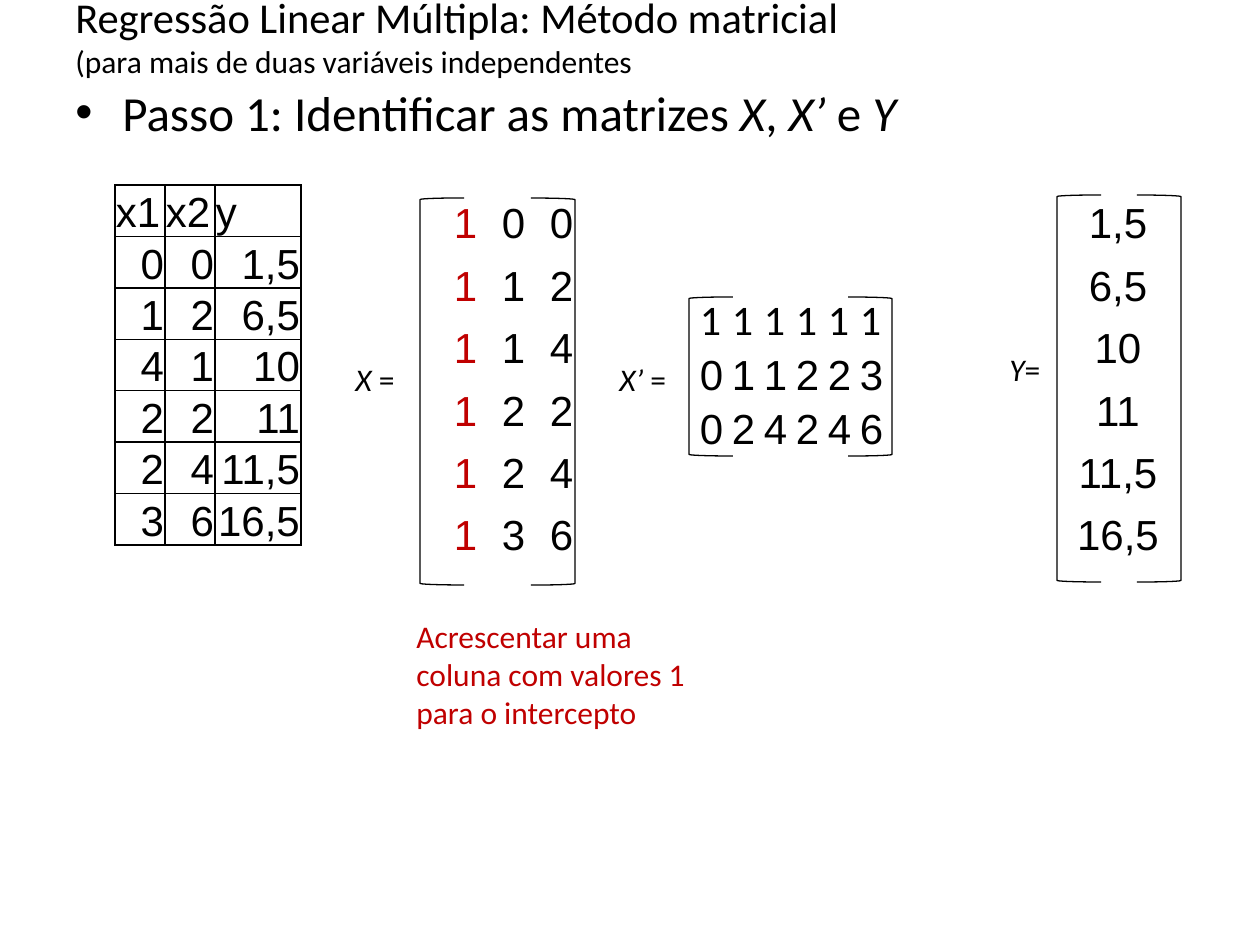
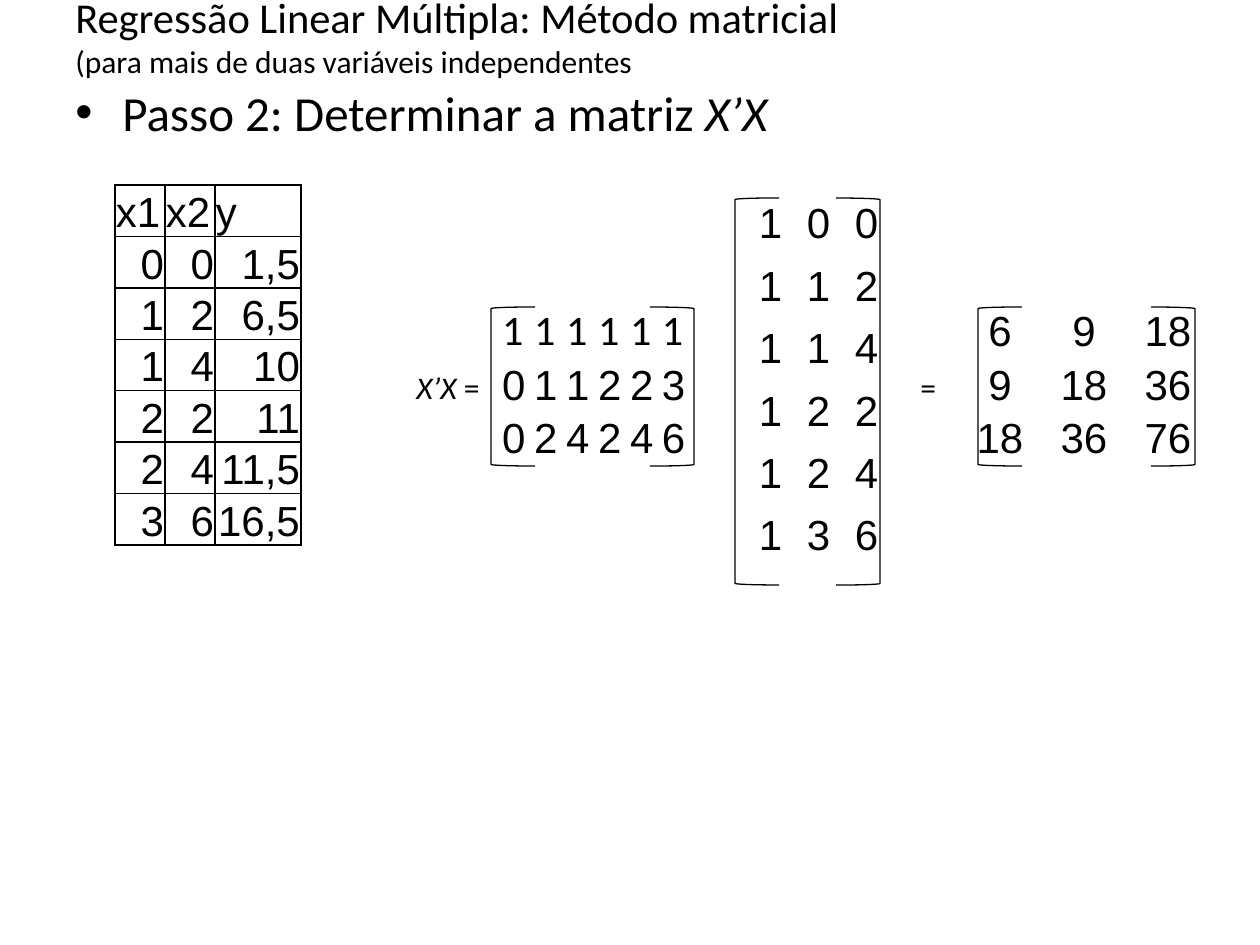
from lxml import etree
from pptx import Presentation
from pptx.dml.color import RGBColor
from pptx.enum.shapes import MSO_SHAPE as Shape
from pptx.enum.text import MSO_ANCHOR as Anchor, PP_ALIGN as Align
from pptx.oxml.ns import qn
from pptx.util import Pt

SCALE = 914400 / 126  # EMU per px
BLACK, RED = "000000", "C00000"
HEAD, DIGITS = "Calibri", "Arial"
DIGIT_SIZE = 24
TIGHT, ROOMY = (1, 1, 1, 0), (13, 6, 13, 6)  # cell margins: left, top, right, bottom
BRACKET_WIDTH = 44

# Matrices of the worked example
INTERCEPT_X = ["1 0 0", "1 1 2", "1 1 4", "1 2 2", "1 2 4", "1 3 6"]
TRANSPOSED_X = ["1 1 1 1 1 1", "0 1 1 2 2 3", "0 2 4 2 4 6"]
PRODUCT = ["6 9 18", "9 18 36", "18 36 76"]
RESPONSE = ["1,5", "6,5", "10", "11", "11,5", "16,5"]


def px(length):
    return round(length * SCALE)


def color(value):
    return RGBColor.from_string(value)


def style(font, size, name=HEAD, ink=BLACK):
    font.size, font.name = Pt(size), name
    font.color.rgb = color(ink)


def add_runs(paragraph, marked):
    """Write the text; parts between asterisks are italic."""
    for index, part in enumerate(marked.split("*")):
        if part:
            run = paragraph.add_run()
            run.text = part
            run.font.italic = index % 2 == 1


def add_text(slide, box, marked, size=18, ink=BLACK, wrap=True):
    frame = slide.shapes.add_textbox(*map(px, box)).text_frame
    frame.word_wrap = wrap
    paragraph = frame.paragraphs[0]
    style(paragraph.font, size, ink=ink)
    add_runs(paragraph, marked)
    return frame


def add_heading(slide, step):
    # Title with its smaller second line
    title = add_text(slide, (63, 6, 1134, 58), "Regressão Linear Múltipla: Método matricial", 24.3)
    title.vertical_anchor = Anchor.MIDDLE
    paragraph = title.paragraphs[0]
    paragraph.add_line_break()
    subtitle = paragraph.add_run()
    subtitle.text = "(para mais de duas variáveis independentes"
    subtitle.font.size = Pt(18)

    # Bulleted step
    bullet = add_text(slide, (63, 76, 1134, 769), step, 28).paragraphs[0]
    props = bullet._p.get_or_add_pPr()
    props.set("marL", str(px(47)))
    props.set("indent", str(px(-47)))
    mark_font = etree.Element(qn("a:buFont"), typeface=DIGITS)
    mark = etree.Element(qn("a:buChar"), char="•")
    props.insert(0, mark_font)
    props.insert(1, mark)


def set_borders(cell, ink):
    props = cell._tc.get_or_add_tcPr()
    for side in ("lnL", "lnR", "lnT", "lnB"):
        edge = etree.SubElement(props, qn("a:" + side), w=str(Pt(1)))
        if ink:
            fill = etree.SubElement(edge, qn("a:solidFill"))
            etree.SubElement(fill, qn("a:srgbClr"), val=ink)
        else:
            etree.SubElement(edge, qn("a:noFill"))


def add_grid(slide, left, top, rows, widths, row_height, margins, anchor, look, border=None):
    """Table of numbers; look(row, column) gives alignment, font and ink."""
    box = (left, top, sum(widths), row_height * len(rows))
    grid = slide.shapes.add_table(len(rows), len(widths), *map(px, box)).table
    grid.first_row = grid.horz_banding = False
    for column, width in zip(grid.columns, widths):
        column.width = px(width)
    for r, values in enumerate(rows):
        grid.rows[r].height = px(row_height)
        for c, value in enumerate(values.split()):
            cell = grid.cell(r, c)
            set_borders(cell, border)
            cell.fill.background()
            (cell.margin_left, cell.margin_top,
             cell.margin_right, cell.margin_bottom) = map(px, margins)
            cell.vertical_anchor = anchor
            cell.text = value
            paragraph = cell.text_frame.paragraphs[0]
            align, name, ink = look(r, c)
            paragraph.alignment = align
            style(paragraph.font, DIGIT_SIZE, name, ink)


def add_brackets(slide, box):
    left, top, width, height = box
    for x, turn in ((left, 0), (left + width - BRACKET_WIDTH, 180)):
        bracket = slide.shapes.add_shape(
            Shape.LEFT_BRACKET, *map(px, (x, top, BRACKET_WIDTH, height)))
        bracket.adjustments[0] = 0.036
        bracket.rotation = turn
        bracket.shadow.inherit = False
        bracket.fill.background()
        bracket.line.color.rgb = color(BLACK)
        bracket.line.width = Pt(0.75)


def add_data_table(slide, pairs):
    rows = ["x1 x2 y"] + [f"{pair} {y}" for pair, y in zip(pairs, RESPONSE)]
    add_grid(slide, 115, 185, rows, (50, 50, 86), 48, TIGHT, Anchor.BOTTOM,
             lambda r, c: (Align.RIGHT if r else Align.LEFT, DIGITS, BLACK), BLACK)


def add_design_matrix(slide, box, inset, intercept_ink=BLACK):
    add_grid(slide, box[0] + inset, box[1] - 3, INTERCEPT_X, (48, 48, 46), 59, ROOMY, Anchor.TOP,
             lambda r, c: (Align.LEFT, DIGITS, BLACK if c else intercept_ink))
    add_brackets(slide, box)


def add_transposed_matrix(slide, left, top):
    add_grid(slide, left + 10, top - 3, TRANSPOSED_X, [32] * 6, 54, TIGHT, Anchor.MIDDLE,
             lambda r, c: (Align.LEFT, DIGITS if r else HEAD, BLACK))
    add_brackets(slide, (left, top, 203, 159))


def add_response_vector(slide, box):
    add_grid(slide, box[0] - 4, box[1], RESPONSE, [130], 59, ROOMY, Anchor.TOP,
             lambda r, c: (Align.CENTER, DIGITS, BLACK))
    add_brackets(slide, box)


def add_product_matrix(slide, box):
    add_grid(slide, box[0] - 20, box[1] - 3, PRODUCT, [84] * 3, 54, TIGHT, Anchor.MIDDLE,
             lambda r, c: (Align.CENTER, DIGITS, BLACK))
    add_brackets(slide, box)


def build_identify_slide(slide):
    add_heading(slide, "Passo 1: Identificar as matrizes* X*, *X’* e *Y*")
    add_data_table(slide, ["0 0", "1 2", "4 1", "2 2", "2 4", "3 6"])
    # X, X' and Y with their labels
    add_text(slide, (343, 354, 73, 50), "*X* =", wrap=False)
    add_design_matrix(slide, (420, 198, 155, 387), 21, RED)
    add_text(slide, (607, 354, 79, 50), "*X’* =", wrap=False)
    add_transposed_matrix(slide, 689, 297)
    add_text(slide, (997, 344, 64, 50), "*Y*=", wrap=False)
    add_response_vector(slide, (1057, 195, 124, 387))
    # Note on the intercept column
    add_text(slide, (404, 611, 307, 127),
             "Acrescentar uma coluna com valores 1 para o intercepto", ink=RED)


def build_product_slide(slide):
    add_heading(slide, "Passo 2: Determinar a matriz *X’X*")
    add_data_table(slide, ["0 0", "1 2", "1 4", "2 2", "2 4", "3 6"])
    # X'X as a product and its result
    add_text(slide, (404, 362, 97, 50), "*X’X* =", wrap=False)
    add_transposed_matrix(slide, 491, 307)
    add_design_matrix(slide, (735, 198, 145, 387), 11)
    add_text(slide, (908, 362, 49, 50), "=", wrap=False)
    add_product_matrix(slide, (978, 307, 217, 159))


def main():
    deck = Presentation()
    deck.slide_width, deck.slide_height = px(1260), px(945)
    blank = deck.slide_layouts[6]
    for build in (build_identify_slide, build_product_slide):
        build(deck.slides.add_slide(blank))
    deck.save("out.pptx")


if __name__ == "__main__":
    main()
